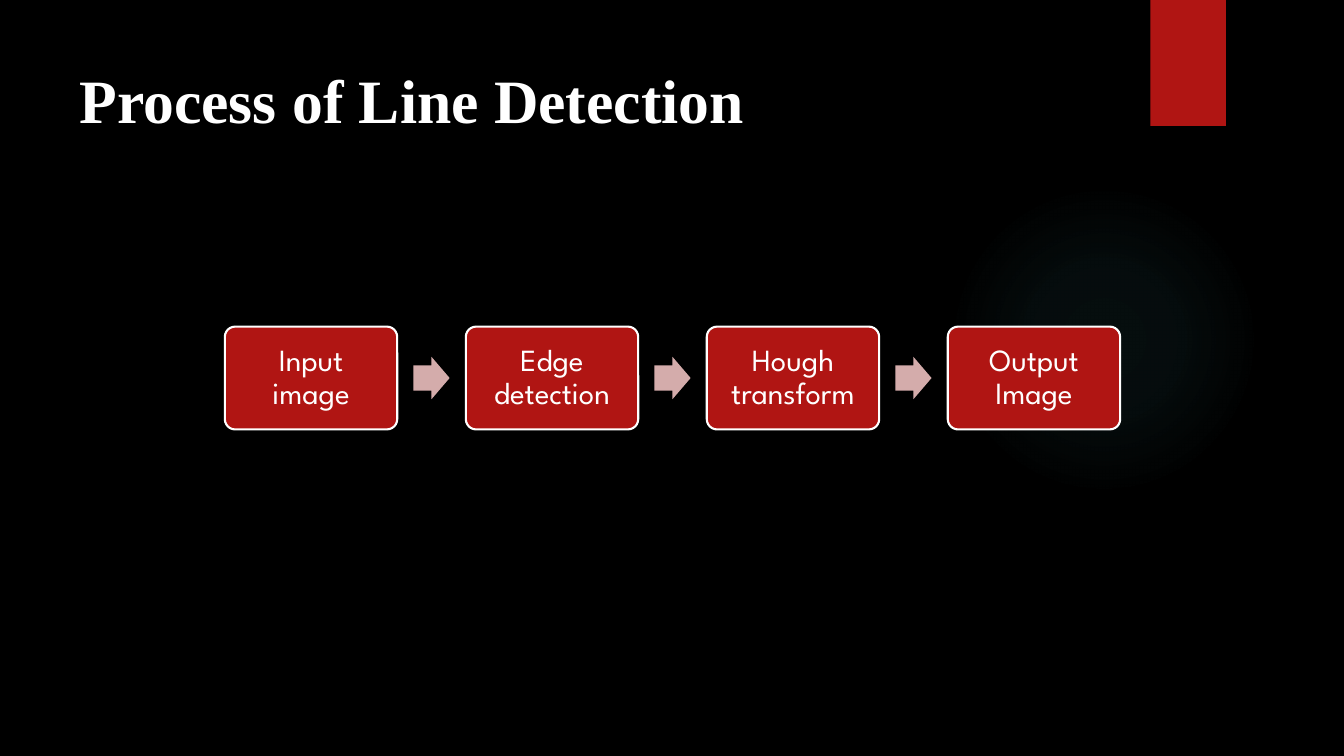
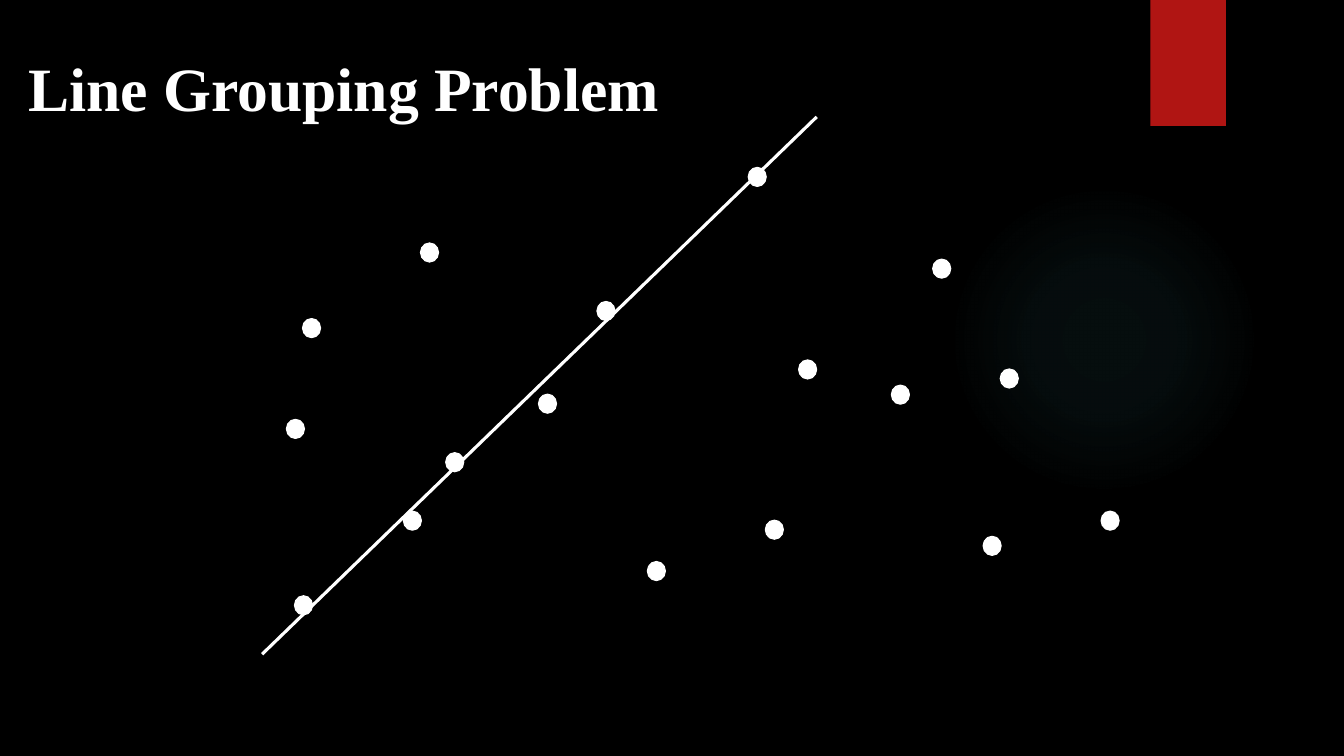
from lxml import etree
from pptx import Presentation
from pptx.dml.color import RGBColor
from pptx.enum.shapes import MSO_CONNECTOR, MSO_SHAPE
from pptx.enum.text import MSO_ANCHOR, PP_ALIGN
from pptx.oxml import parse_xml
from pptx.oxml.ns import nsdecls, qn
from pptx.util import Inches, Pt

BLACK = RGBColor(0x00, 0x00, 0x00)
WHITE = RGBColor(0xFF, 0xFF, 0xFF)
RED = RGBColor(0xB0, 0x15, 0x13)
PINK = RGBColor(0xD4, 0xAC, 0xAB)
GLOW = RGBColor(0x50, 0xB9, 0xC1)
TITLE_FONT = "Times New Roman"
BODY_FONT = "League Spartan"

OVAL = MSO_SHAPE.OVAL
RECTANGLE = MSO_SHAPE.RECTANGLE
ROUNDED = MSO_SHAPE.ROUNDED_RECTANGLE
RIGHT_ARROW = MSO_SHAPE.RIGHT_ARROW
STRAIGHT = MSO_CONNECTOR.STRAIGHT
LEFT, CENTER = PP_ALIGN.LEFT, PP_ALIGN.CENTER
TOP, MIDDLE = MSO_ANCHOR.TOP, MSO_ANCHOR.MIDDLE

STEPS = ["Input image", "Edge detection", "Hough transform", "Output Image"]
STEP_LEFT, STEP_TOP, STEP_W, STEP_H = 2.23, 3.24, 1.71, 1.02
STEP_PITCH = 2.39
ARROW_W, ARROW_H, ARROW_OFFSET = 0.36, 0.42, 1.87

DOT_W, DOT_H = 0.18, 0.19
LINE_DOTS = [(4.42, 4.49), (5.34, 3.91), (5.92, 2.99),
             (7.42, 1.66), (4, 5.07), (2.92, 5.91)]
OTHER_DOTS = [(7.59, 5.16), (4.17, 2.41), (7.92, 3.57), (9.75, 5.32),
              (9.92, 3.66), (8.84, 3.82), (6.42, 5.57), (2.84, 4.16),
              (3, 3.16), (10.92, 5.07), (9.25, 2.57)]


def add_shape(s, kind, x, y, w, h, fill, line=None, line_width=0.75):
    """Add a flat preset shape with an optional outline."""
    sp = s.shapes.add_shape(kind, Inches(x), Inches(y), Inches(w), Inches(h))
    sp.shadow.inherit = False
    sp.fill.solid()
    sp.fill.fore_color.rgb = fill
    if line is None:
        sp.line.fill.background()
    else:
        sp.line.color.rgb = line
        sp.line.width = Pt(line_width)
    return sp


def set_glow(sp):
    """Replace the solid fill by a faint radial gradient."""
    stops = "".join(
        f'<a:gs pos="{pos * 1000}"><a:srgbClr val="{GLOW}">'
        f'<a:alpha val="{alpha * 1000}"/></a:srgbClr></a:gs>'
        for pos, alpha in [(0, 7), (36, 6), (69, 0)])
    grad = parse_xml(
        f'<a:gradFill {nsdecls("a")} rotWithShape="1"><a:gsLst>{stops}</a:gsLst>'
        '<a:path path="circle"><a:fillToRect l="50000" t="50000" r="50000" '
        'b="50000"/></a:path></a:gradFill>')
    solid = sp._element.spPr.find(qn("a:solidFill"))
    solid.getparent().replace(solid, grad)


def move_to_layout(sp, layout, position):
    """Move a shape behind the placeholders of the layout."""
    sp._element.nvSpPr.cNvPr.id = max(x.shape_id for x in layout.shapes) + 1
    layout.shapes._spTree.insert(position, sp._element)


def decorate_layout(s):
    """Give the slide's layout a black background, a glow and a red tab."""
    layout = s.slide_layout
    layout.background.fill.solid()
    layout.background.fill.fore_color.rgb = BLACK
    glow = add_shape(s, OVAL, 9.41, 1.83, 3.08, 3.08, GLOW)
    set_glow(glow)
    tab = add_shape(s, RECTANGLE, 11.41, 0, 0.75, 1.25, RED)
    for i, sp in enumerate([glow, tab]):
        move_to_layout(sp, layout, 2 + i)


def set_title(s, text, x, y, w, h):
    """Place and format the title placeholder."""
    sp = s.shapes.title
    sp.left, sp.top, sp.width, sp.height = map(Inches, (x, y, w, h))
    tf = sp.text_frame
    tf.text = text
    tf.word_wrap = True
    tf.vertical_anchor = TOP
    tf.margin_top = Inches(0.11)
    p = tf.paragraphs[0]
    p.alignment = LEFT
    font = p.runs[0].font
    font.name, font.size, font.bold = TITLE_FONT, Pt(44), True
    font.color.rgb = WHITE


def add_step(s, text, x):
    """Add one labelled box of the process."""
    sp = add_shape(s, ROUNDED, x, STEP_TOP, STEP_W, STEP_H, RED, WHITE, 1.5)
    sp.adjustments[0] = 0.1
    tf = sp.text_frame
    tf.text = text
    tf.word_wrap = True
    tf.vertical_anchor = MIDDLE
    tf.margin_left = tf.margin_right = Inches(0.13)
    p = tf.paragraphs[0]
    p.alignment = CENTER
    p.line_spacing = 0.9
    font = p.runs[0].font
    font.name, font.size = BODY_FONT, Pt(22)
    font.color.rgb = WHITE


def add_arrow(s, x):
    """Add a block arrow centred on the row of steps."""
    y = STEP_TOP + (STEP_H - ARROW_H) / 2
    sp = add_shape(s, RIGHT_ARROW, x, y, ARROW_W, ARROW_H, PINK)
    sp.adjustments[0] = 0.6
    sp.adjustments[1] = 0.5


def add_line(s, x1, y1, x2, y2):
    """Add a straight white line."""
    line = s.shapes.add_connector(
        STRAIGHT, Inches(x1), Inches(y1), Inches(x2), Inches(y2))
    line.line.color.rgb = WHITE
    line.line.width = Pt(2.25)
    etree.SubElement(line._element.spPr, qn("a:effectLst"))


def build_process(s):
    """Build the line detection process."""
    set_title(s, "Process of Line Detection", 0.69, 0.5, 6.85, 0.84)
    for i, text in enumerate(STEPS):
        x = STEP_LEFT + i * STEP_PITCH
        add_step(s, text, x)
        if i < len(STEPS) - 1:
            add_arrow(s, x + ARROW_OFFSET)


def build_grouping(s):
    """Build the scattered dots and the line through some of them."""
    set_title(s, "Line Grouping Problem", 0.18, 0.39, 10.83, 0.96)
    for x, y in LINE_DOTS + OTHER_DOTS:
        add_shape(s, OVAL, x, y, DOT_W, DOT_H, WHITE, WHITE)
    add_line(s, 2.6, 6.49, 8.1, 1.16)


def main():
    """Build and save the presentation."""
    prs = Presentation()
    prs.slide_width, prs.slide_height = Inches(13.33), Inches(7.5)
    layout = prs.slide_layouts.get_by_name("Title Only")
    process = prs.slides.add_slide(layout)
    decorate_layout(process)
    build_process(process)
    build_grouping(prs.slides.add_slide(layout))
    prs.save("out.pptx")


if __name__ == "__main__":
    main()
